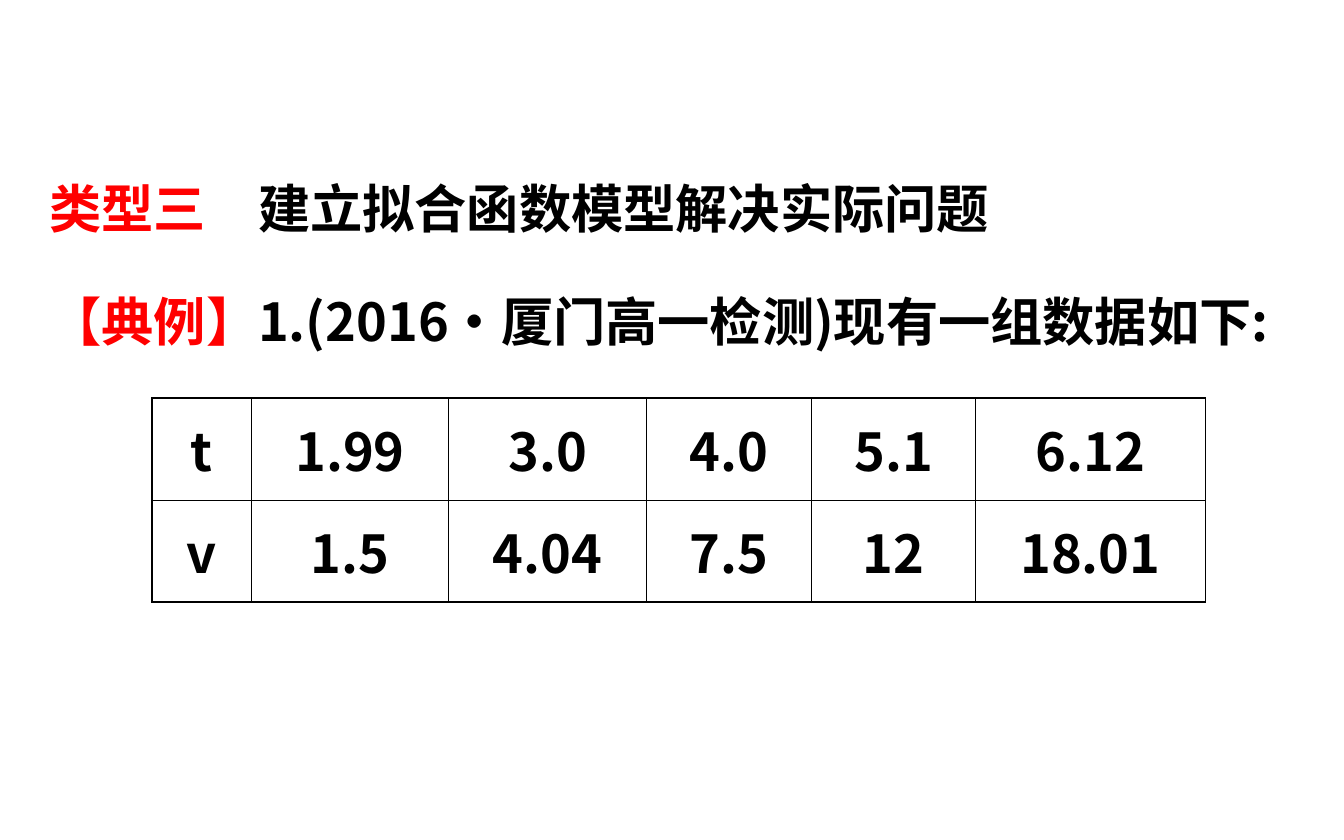
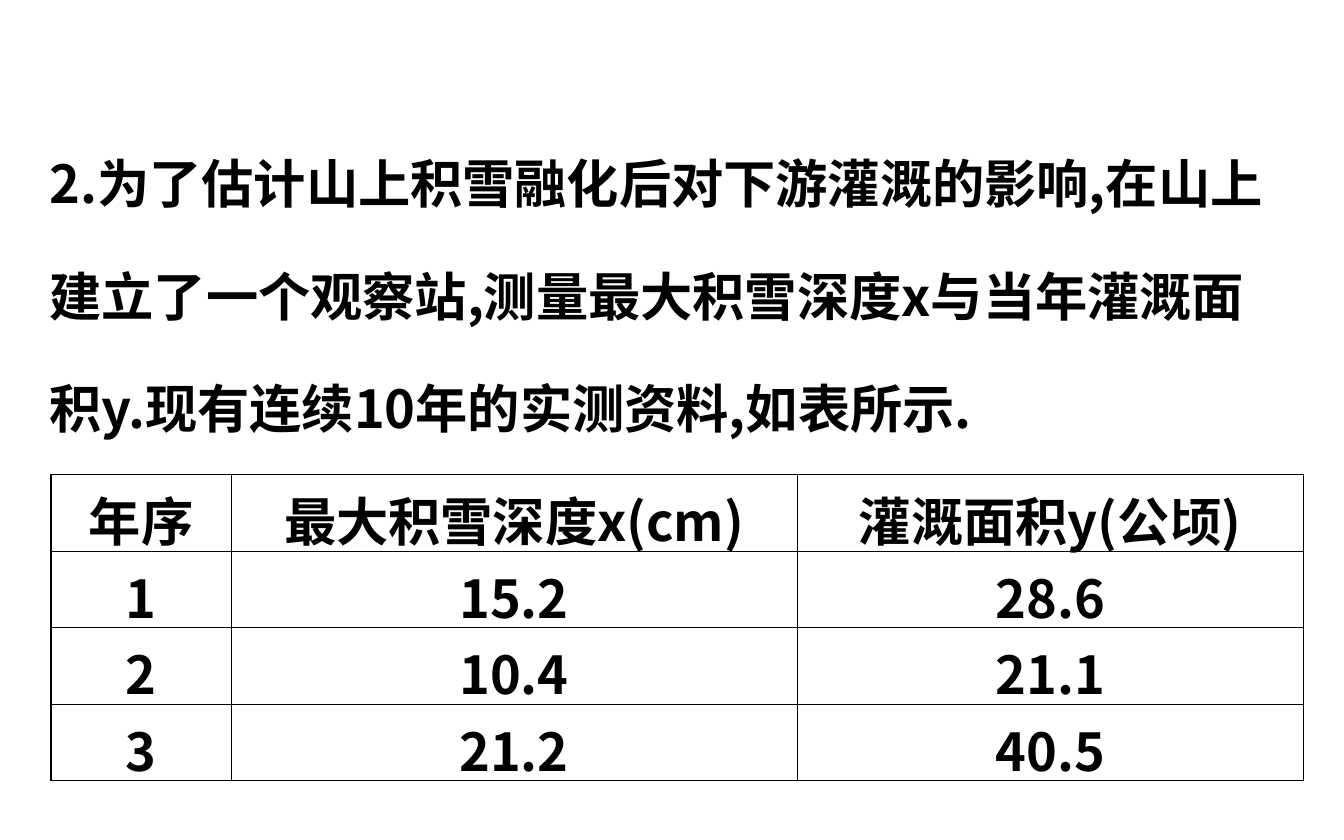
from dataclasses import dataclass

from lxml.etree import SubElement
from pptx import Presentation
from pptx.dml.color import RGBColor
from pptx.enum.text import MSO_ANCHOR as Anchor, MSO_AUTO_SIZE as AutoSize, PP_ALIGN as Align
from pptx.oxml.ns import qn
from pptx.util import Inches, Pt


# Theme: colours, type and line sizes
@dataclass(frozen=True)
class Theme:
    ink: RGBColor = RGBColor(0x00, 0x00, 0x00)
    accent: RGBColor = RGBColor(0xFF, 0x00, 0x00)
    font: str = "Noto Sans CJK SC"
    size: Pt = Pt(28)
    spacing: float = 1.8
    frame: Pt = Pt(0.96)
    grid: Pt = Pt(0.45)


class Deck:
    """Holds the theme and the current slide."""

    def __init__(self, theme):
        self.theme = theme
        self.prs = Presentation()
        self.prs.slide_width = Inches(10)
        self.prs.slide_height = Inches(6.25)

    def slide(self):
        self.s = self.prs.slides.add_slide(self.prs.slide_layouts[6])

    def style(self, p):
        f = p.font
        f.name, f.size, f.bold = self.theme.font, self.theme.size, True
        f.color.rgb = self.theme.ink
        # East Asian characters need their own typeface entry
        def_rpr = p._p.pPr.find(qn("a:defRPr"))
        SubElement(def_rpr, qn("a:ea"), typeface=self.theme.font)

    def passage(self, top, paragraphs):
        """Body text; each paragraph is a (red label, black text) pair."""
        sp = self.s.shapes.add_textbox(Inches(0.27), Inches(top), Inches(9.43), Inches(2.62))
        tf = sp.text_frame
        tf.word_wrap = True
        tf.auto_size = AutoSize.SHAPE_TO_FIT_TEXT
        for i, (label, text) in enumerate(paragraphs):
            p = tf.add_paragraph() if i else tf.paragraphs[0]
            p.line_spacing = self.theme.spacing
            self.style(p)
            if label:
                r = p.add_run()
                r.text = label
                r.font.color.rgb = self.theme.accent
            p.add_run().text = text

    def border(self, cell, side, width):
        ln = SubElement(cell._tc.get_or_add_tcPr(), qn(f"a:ln{side}"), w=str(int(width)))
        fill = SubElement(ln, qn("a:solidFill"))
        SubElement(fill, qn("a:srgbClr"), val=str(self.theme.ink))

    def table(self, left, top, widths, row_height, rows):
        """Centred grid with a heavier outer frame."""
        n_rows, n_cols = len(rows), len(widths)
        tbl = self.s.shapes.add_table(
            n_rows, n_cols, Inches(left), Inches(top),
            Inches(sum(widths)), Inches(row_height * n_rows)).table
        tbl.first_row = tbl.horz_banding = False
        for col, width in zip(tbl.columns, widths):
            col.width = Inches(width)
        for i, row in enumerate(rows):
            tbl.rows[i].height = Inches(row_height)
            for j, value in enumerate(row):
                cell = tbl.cell(i, j)
                cell.vertical_anchor = Anchor.MIDDLE
                p = cell.text_frame.paragraphs[0]
                p.alignment = Align.CENTER
                self.style(p)
                p.add_run().text = value
                outer = {"L": j == 0, "R": j == n_cols - 1,
                         "T": i == 0, "B": i == n_rows - 1}
                for side, is_outer in outer.items():
                    self.border(cell, side, self.theme.frame if is_outer else self.theme.grid)
                cell.fill.background()


def main():
    deck = Deck(Theme())

    # Example 1: fitting a function to t and v
    deck.slide()
    deck.passage(0.89, [
        ("类型三　", "建立拟合函数模型解决实际问题"),
        ("【典例】", "1.(2016·厦门高一检测)现有一组数据如下:"),
    ])
    deck.table(1.13, 2.96, [0.74, 1.47, 1.47, 1.23, 1.22, 1.71], 0.76, [
        ["t", "1.99", "3.0", "4.0", "5.1", "6.12"],
        ["v", "1.5", "4.04", "7.5", "12", "18.01"],
    ])

    # Example 2: snow depth and irrigated area
    deck.slide()
    deck.passage(0.7, [
        ("", "2.为了估计山上积雪融化后对下游灌溉的影响,在山上建立了一个观察站,"
             "测量最大积雪深度x与当年灌溉面积y.现有连续10年的实测资料,如表所示."),
    ])
    deck.table(0.38, 3.53, [1.34, 4.21, 3.77], 0.57, [
        ["年序", "最大积雪深度x(cm)", "灌溉面积y(公顷)"],
        ["1", "15.2", "28.6"],
        ["2", "10.4", "21.1"],
        ["3", "21.2", "40.5"],
    ])

    deck.prs.save("out.pptx")


if __name__ == "__main__":
    main()
